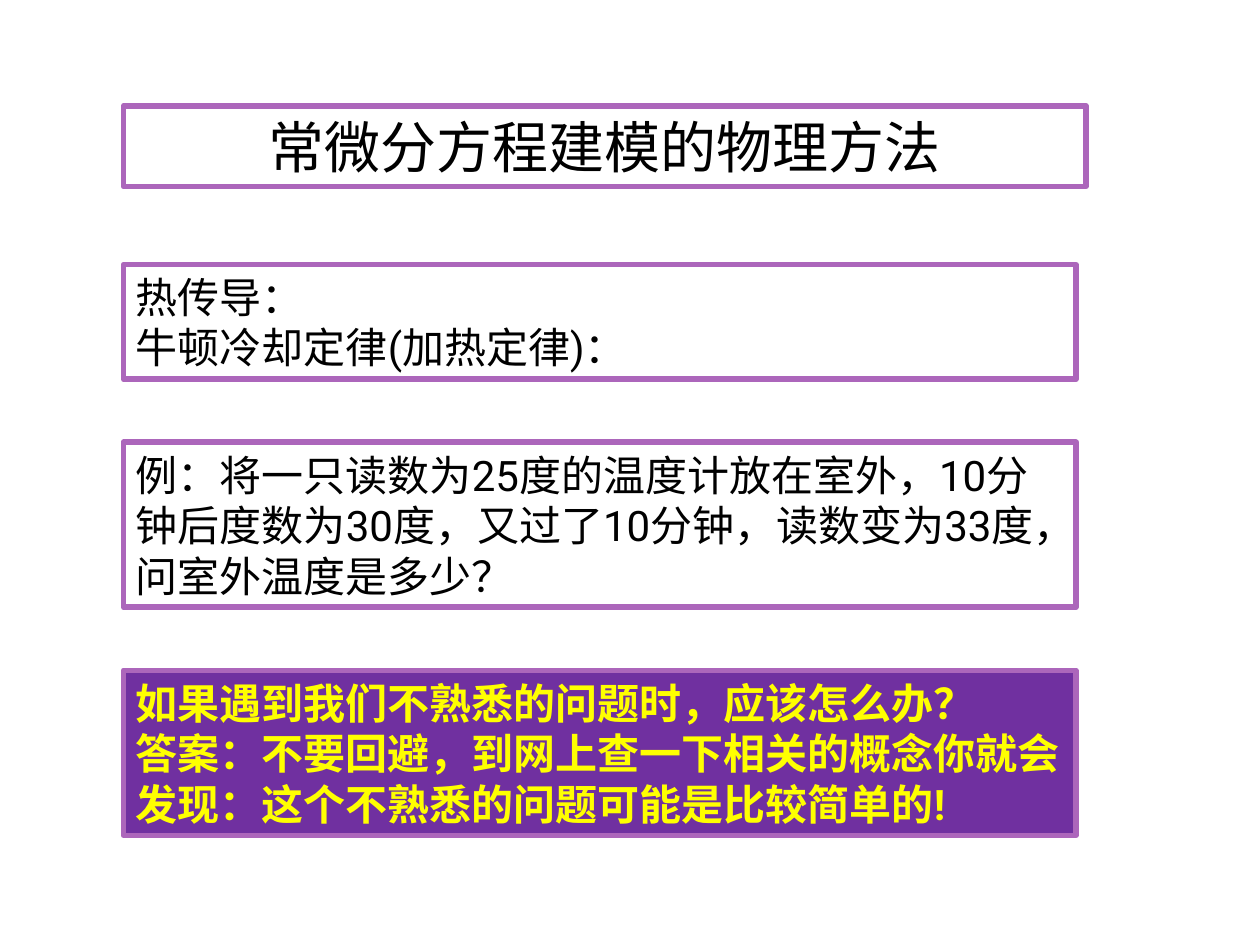
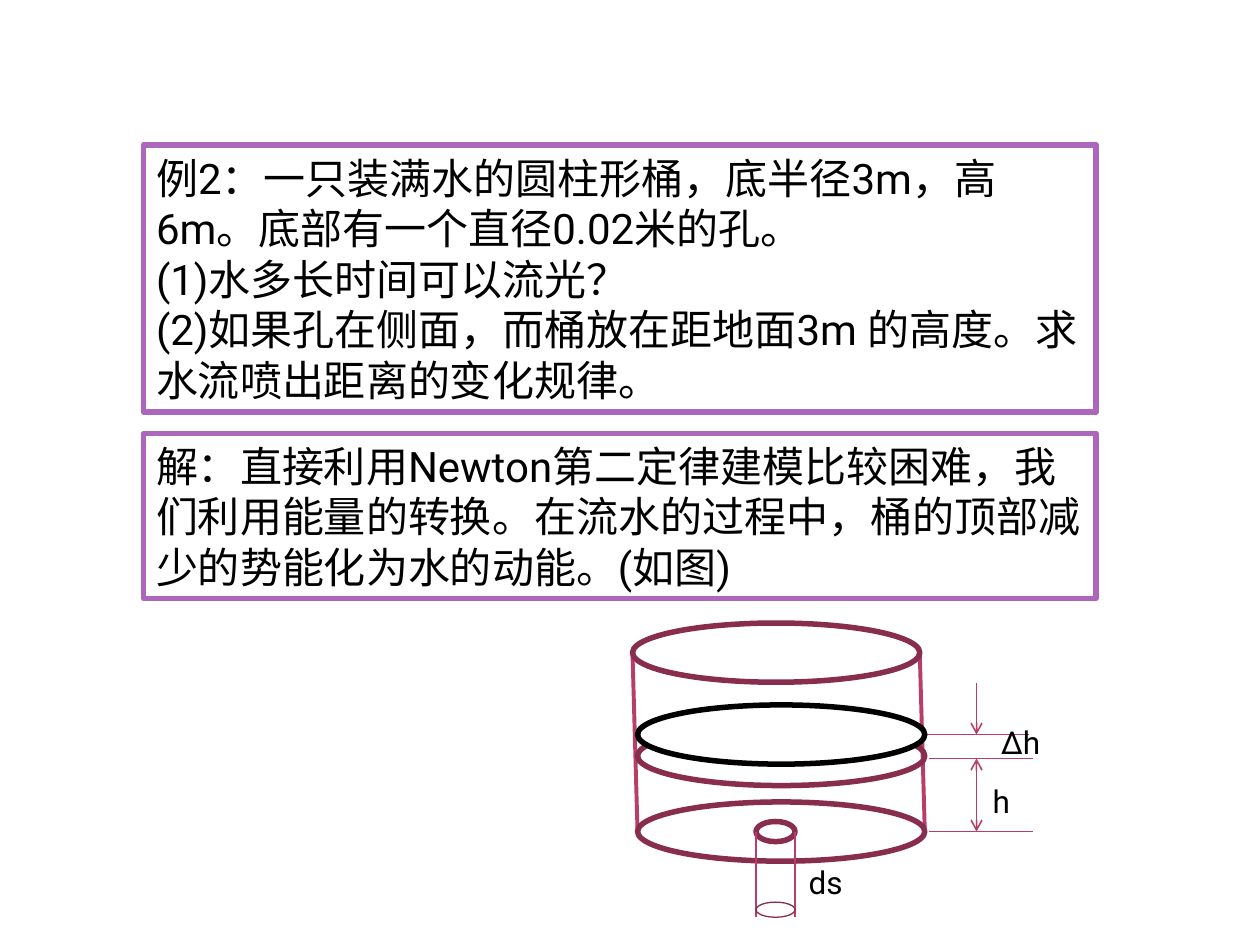
from lxml import etree
from pptx import Presentation
from pptx.dml.color import RGBColor
from pptx.enum.shapes import MSO_CONNECTOR, MSO_SHAPE
from pptx.enum.text import MSO_ANCHOR, PP_ALIGN
from pptx.oxml.ns import qn
from pptx.util import Inches, Pt

RECT, OVAL = MSO_SHAPE.RECTANGLE, MSO_SHAPE.OVAL
STRAIGHT = MSO_CONNECTOR.STRAIGHT
LEFT, CENTER = PP_ALIGN.LEFT, PP_ALIGN.CENTER
MIDDLE, TOP = MSO_ANCHOR.MIDDLE, MSO_ANCHOR.TOP

FONT = "Roboto"
BLACK, WHITE, YELLOW, PURPLE = "000000", "FFFFFF", "FFFF00", "7030A0"
FRAME, WALL, RIM = "AC66BB", "B83D68", "882D4D"
BOX_W, THICK, THIN = 7.56, 3.15, 0.9

METHOD_X, TANK_X = 0.98, 1.14
TITLE = ["常微分方程建模的物理方法"]
METHOD_BOXES = [
    (2.1, 0.91, ["热传导：", "牛顿冷却定律(加热定律)："]),
    (3.51, 1.31, ["例：将一只读数为25度的温度计放在室外，10分钟后度数为30度，"
                  "又过了10分钟，读数变为33度，问室外温度是多少？"]),
]
ADVICE = ["如果遇到我们不熟悉的问题时，应该怎么办？",
          "答案：不要回避，到网上查一下相关的概念你就会发现：这个不熟悉的问题可能是比较简单的!"]
TANK_BOXES = [
    (1.15, 2.12, ["例2：一只装满水的圆柱形桶，底半径3m，高6m。底部有一个直径0.02米的孔。",
                  "(1)水多长时间可以流光？",
                  "(2)如果孔在侧面，而桶放在距地面3m 的高度。求水流喷出距离的变化规律。"]),
    (3.44, 1.31, ["解：直接利用Newton第二定律建模比较困难，我们利用能量的转换。"
                  "在流水的过程中，桶的顶部减少的势能化为水的动能。(如图)"]),
]

TANK_W, TANK_H = 2.28, 0.47
TOP_X, BASE_X = 5.02, 5.06
TOP_Y, SURFACE_Y, LOWER_Y, BASE_Y = 5.18, 5.83, 6.02, 6.6
HOLE_X, HOLE_W, JET_END = 6, 0.31, 7.28
GAUGE_X, GAUGE_W = 7.75, 0.83
DISCS = [
    (TOP_X, TOP_Y, None, RIM),
    (BASE_X, BASE_Y, None, RIM),
    (BASE_X, LOWER_Y - 0.02, None, RIM),
    (BASE_X, SURFACE_Y, WHITE, BLACK),
]
LEVELS = [(7.37, LOWER_Y), (7.37, BASE_Y)]
LABELS = [("Δh", GAUGE_X, 5.69, 0.7), ("h", 7.78, 6.16, 0.54), ("ds", 6.32, 6.8, 0.63)]


def rgb(value):
    return RGBColor.from_string(value)


def write(shape, lines, size, color=BLACK, bold=False, align=LEFT, anchor=MIDDLE):
    tf = shape.text_frame
    tf.word_wrap = True
    tf.vertical_anchor = anchor
    tf.text = "\n".join(lines)
    for p in tf.paragraphs:
        p.alignment = align
        for r in p.runs:
            r.font.name, r.font.size, r.font.bold = FONT, Pt(size), bold
            r.font.color.rgb = rgb(color)


def outlined(shapes, kind, x, y, w, h, fill, line, width=THICK):
    sp = shapes.add_shape(kind, Inches(x), Inches(y), Inches(w), Inches(h))
    sp.shadow.inherit = False
    if fill:
        sp.fill.solid()
        sp.fill.fore_color.rgb = rgb(fill)
    else:
        sp.fill.background()
    sp.line.color.rgb = rgb(line)
    sp.line.width = Pt(width)
    return sp


def text_box(s, x, y, h, lines, w=BOX_W, fill=WHITE, size=24, **style):
    write(outlined(s.shapes, RECT, x, y, w, h, fill, FRAME), lines, size, **style)


def line(shapes, x1, y1, x2, y2, width=THIN, arrows=()):
    c = shapes.add_connector(STRAIGHT, Inches(x1), Inches(y1), Inches(x2), Inches(y2))
    c.line.color.rgb = rgb(WALL)
    c.line.width = Pt(width)
    ln = c.line._get_or_add_ln()
    for end in arrows:
        etree.SubElement(ln, qn(f"a:{end}"), type="arrow")
    etree.SubElement(c._element.spPr, qn("a:effectLst"))


def method_slide(s):
    text_box(s, METHOD_X, 0.84, 0.64, TITLE, w=7.64, size=32, align=CENTER)
    for y, h, lines in METHOD_BOXES:
        text_box(s, METHOD_X, y, h, lines)
    text_box(s, METHOD_X, 5.32, 1.31, ADVICE, fill=PURPLE, color=YELLOW, bold=True)


def draw_tank(shapes):
    line(shapes, BASE_X + TANK_W, SURFACE_Y, BASE_X + TANK_W + GAUGE_W, SURFACE_Y)
    for side in (0, TANK_W):
        line(shapes, TOP_X + side, TOP_Y, BASE_X + side, BASE_Y, 2.25)
    for x, y, fill, color in DISCS:
        outlined(shapes, OVAL, x, y - TANK_H / 2, TANK_W, TANK_H, fill, color)
    outlined(shapes, OVAL, HOLE_X, BASE_Y - 0.08, HOLE_W, 0.16, None, RIM)
    for x, y in LEVELS:
        line(shapes, x, y, x + GAUGE_W, y)
    line(shapes, GAUGE_X, LOWER_Y, GAUGE_X, BASE_Y, arrows=("headEnd", "tailEnd"))
    line(shapes, GAUGE_X, 5.42, GAUGE_X, SURFACE_Y, arrows=("tailEnd",))
    for x in (HOLE_X, HOLE_X + HOLE_W):
        line(shapes, x, BASE_Y, x, JET_END)
    outlined(shapes, OVAL, HOLE_X, JET_END - 0.12, HOLE_W, 0.12, None, RIM, 0.75)
    for text, x, y, w in LABELS:
        label = shapes.add_textbox(Inches(x), Inches(y), Inches(w), Inches(0.4))
        write(label, [text], 18, align=CENTER if x == GAUGE_X else LEFT, anchor=TOP)


def tank_slide(s):
    for y, h, lines in TANK_BOXES:
        text_box(s, TANK_X, y, h, lines)
    draw_tank(s.shapes.add_group_shape().shapes)


def main():
    prs = Presentation()
    prs.slide_width, prs.slide_height = Inches(10), Inches(7.5)
    for build in (method_slide, tank_slide):
        build(prs.slides.add_slide(prs.slide_layouts[6]))
    prs.save("out.pptx")


if __name__ == "__main__":
    main()
